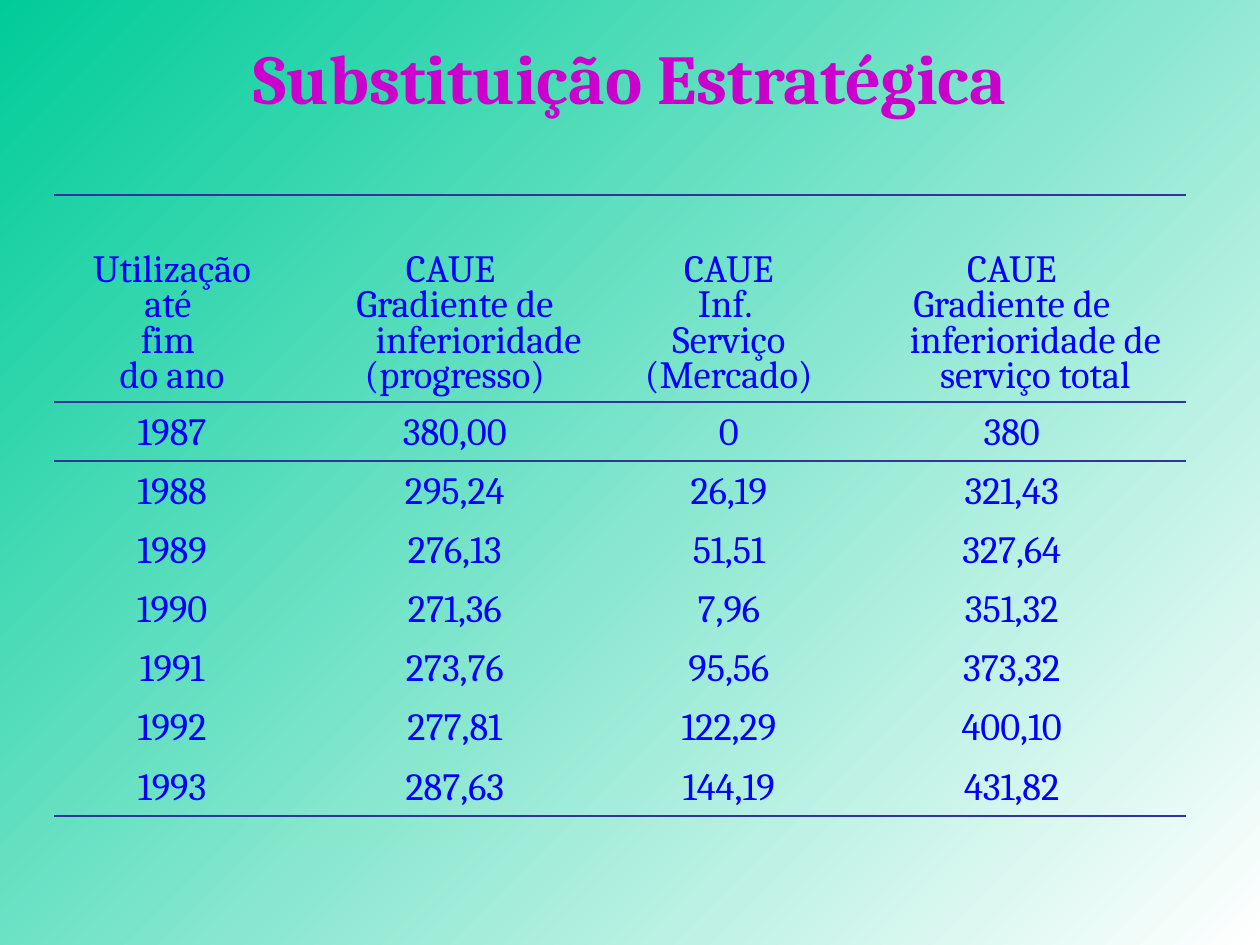
from dataclasses import dataclass

from lxml import etree
from pptx import Presentation
from pptx.dml.color import RGBColor
from pptx.enum.text import MSO_ANCHOR, PP_ALIGN
from pptx.oxml.ns import qn
from pptx.slide import Slide
from pptx.table import _Cell
from pptx.text.text import _Paragraph
from pptx.util import Pt

CENTER = PP_ALIGN.CENTER
MIDDLE = MSO_ANCHOR.MIDDLE
BOTTOM = MSO_ANCHOR.BOTTOM

FONT = "Cambria"
TITLE_COLOR = "CC00CC"
TEXT_COLOR = "0000FF"
RULE_COLOR = "333399"
RULE_WIDTH = 1.08
HANGING_INDENT = 27
NO_GRID_STYLE = "{2D5ABB26-0587-4C30-8999-92F81FD0307C}"

HEADER_HEIGHT = 118.2
ROW_HEIGHT = 33.8


@dataclass
class Column:
    header: str
    width: float
    values: list[str]


COLUMNS = [
    Column("Utilização\naté \nfim \ndo ano", 134.6,
           ["1987", "1988", "1989", "1990", "1991", "1992", "1993"]),
    Column("CAUE \nGradiente de inferioridade\n(progresso)", 188.6,
           ["380,00", "295,24", "276,13", "271,36", "273,76", "277,81", "287,63"]),
    Column("CAUE\nInf. \nServiço\n(Mercado)", 124.6,
           ["0", "26,19", "51,51", "7,96", "95,56", "122,29", "144,19"]),
    Column("CAUE\nGradiente de inferioridade de serviço total", 198.7,
           ["380", "321,43", "327,64", "351,32", "373,32", "400,10", "431,82"]),
]


def color(value: str) -> RGBColor:
    return RGBColor.from_string(value)


def format_paragraph(para: _Paragraph, size: float, text_color: str, bold: bool) -> None:
    para.alignment = CENTER
    for span in para.runs:
        span.font.name = FONT
        span.font.size = Pt(size)
        span.font.bold = bold
        span.font.color.rgb = color(text_color)


def add_rules(cell: _Cell, sides: list[str]) -> None:
    """Draw border lines; they must precede the fill in the cell properties."""
    properties = cell._tc.get_or_add_tcPr()
    for position, side in enumerate(sides):
        line = etree.Element(qn(f"a:ln{side}"), w=str(Pt(RULE_WIDTH)))
        fill = etree.SubElement(line, qn("a:solidFill"))
        etree.SubElement(fill, qn("a:srgbClr"), val=RULE_COLOR)
        properties.insert(position, line)


def fill_cell(cell: _Cell, text: str, line_spacing: float, sides: list[str]) -> None:
    cell.fill.background()
    cell.vertical_anchor = BOTTOM
    cell.text_frame.text = text
    for para in cell.text_frame.paragraphs:
        format_paragraph(para, 22, TEXT_COLOR, False)
        para.line_spacing = line_spacing
        indent = Pt(HANGING_INDENT)
        para._p.get_or_add_pPr().set("marL", str(indent))
        para._p.get_or_add_pPr().set("indent", str(-indent))
    add_rules(cell, sides)


def paint_background(page: Slide) -> None:
    fill = page.background.fill
    fill.gradient()
    fill.gradient_angle = 315
    for stop, stop_color, position in zip(fill.gradient_stops, ["00CC99", "FFFFFF"], [0, 1]):
        stop.color.rgb = color(stop_color)
        stop.position = position


def add_title(page: Slide, text: str) -> None:
    title = page.shapes.title
    title.left, title.top, title.width, title.height = Pt(36), Pt(9.4), Pt(648), Pt(68.4)
    title.text_frame.text = text
    title.text_frame.vertical_anchor = MIDDLE
    format_paragraph(title.text_frame.paragraphs[0], 40, TITLE_COLOR, True)


def add_cost_table(page: Slide, columns: list[Column]) -> None:
    last_row = len(columns[0].values)
    frame = page.shapes.add_table(
        last_row + 1, len(columns), Pt(31), Pt(111.6),
        Pt(sum(column.width for column in columns)),
        Pt(HEADER_HEIGHT + last_row * ROW_HEIGHT))
    table = frame.table
    table.first_row = table.horz_banding = False
    table._tbl.tblPr.find(qn("a:tableStyleId")).text = NO_GRID_STYLE

    for number, row in enumerate(table.rows):
        row.height = Pt(ROW_HEIGHT if number else HEADER_HEIGHT)

    for index, column in enumerate(columns):
        table.columns[index].width = Pt(column.width)
        fill_cell(table.cell(0, index), column.header, 0.8, ["T", "B"])
        for number, value in enumerate(column.values, start=1):
            sides = {1: ["T"], last_row: ["B"]}.get(number, [])
            fill_cell(table.cell(number, index), value, 1.0, sides)


def main() -> None:
    deck = Presentation()
    deck.slide_width, deck.slide_height = Pt(720), Pt(540)
    page = deck.slides.add_slide(deck.slide_layouts.get_by_name("Title Only"))
    paint_background(page)
    add_title(page, "Substituição Estratégica")
    add_cost_table(page, COLUMNS)
    deck.save("out.pptx")


if __name__ == "__main__":
    main()
